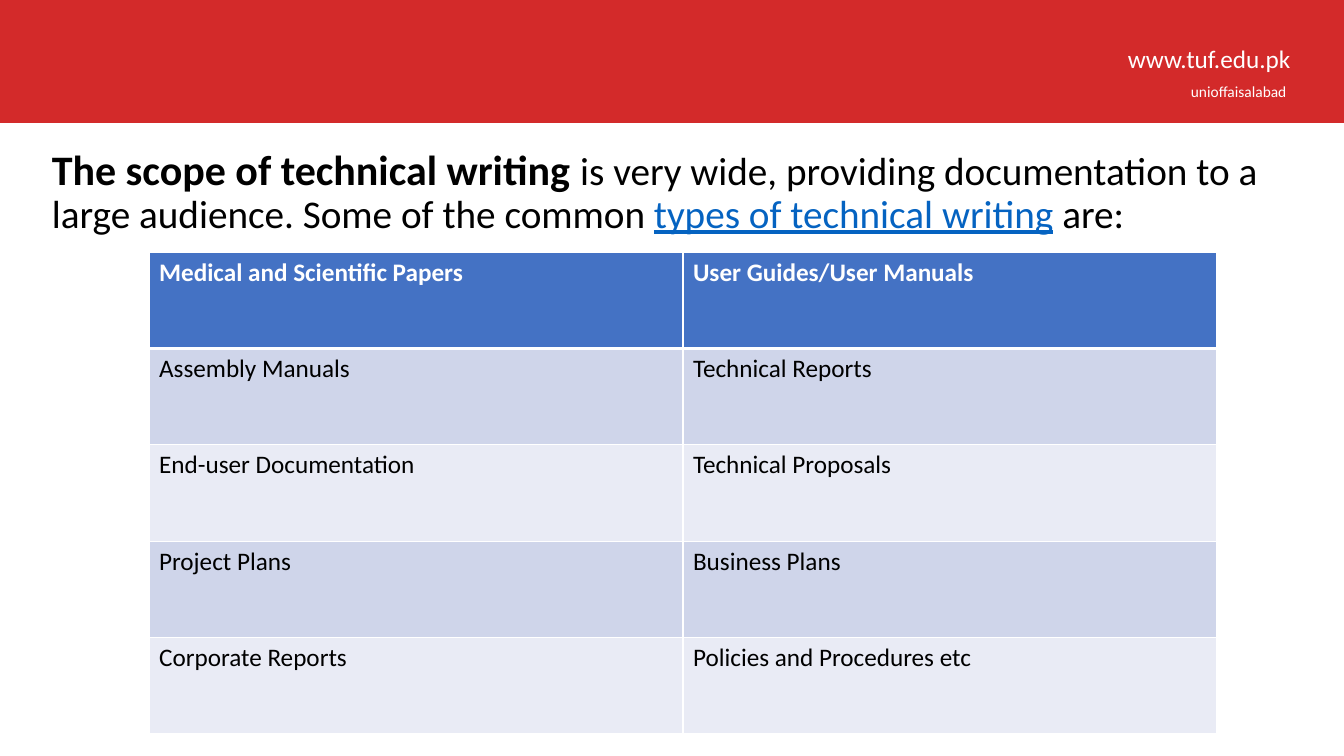
import pptx
import pptx.dml.color
import pptx.enum.shapes
import pptx.oxml
import pptx.oxml.ns
import pptx.util

PX_PER_INCH = 100.8
FONT = "Calibri"
WHITE, BLACK, RED, BLUE, LINK = "FFFFFF", "000000", "D32A2A", "4472C4", "0563C1"
BANDS = ("CFD5EA", "E9EBF5")
WRITING_TYPES = [
    ("Medical and Scientific Papers", "User Guides/User Manuals"),
    ("Assembly Manuals", "Technical Reports"),
    ("End-user Documentation", "Technical Proposals"),
    ("Project Plans", "Business Plans"),
    ("Corporate Reports", "Policies and Procedures etc"),
]


def px(length):
    return pptx.util.Inches(length / PX_PER_INCH)


def color(value):
    return pptx.dml.color.RGBColor.from_string(value)


def set_font(font, size, value, bold=False):
    font.name = FONT
    font.size = pptx.util.Pt(size)
    font.bold = bold
    font.color.rgb = color(value)


def add_text_box(page, left, top, width, height):
    """Add a wrapping text box and return its first paragraph."""
    box = page.shapes.add_textbox(px(left), px(top), px(width), px(height))
    box.text_frame.word_wrap = True
    return box.text_frame.paragraphs[0]


def add_banner(page, left, top, width, height):
    band = page.shapes.add_shape(
        pptx.enum.shapes.MSO_SHAPE.RECTANGLE, px(left), px(top), px(width), px(height))
    band.shadow.inherit = False
    band.fill.solid()
    band.fill.fore_color.rgb = color(RED)
    band.line.fill.background()
    right = left + width
    for text, size, inset, drop, tall in (
            ("unioffaisalabad", 11, 163, 77, 29), ("www.tuf.edu.pk", 18, 226, 38, 40)):
        para = add_text_box(page, right - inset, top + drop, inset, tall)
        para.text = text
        set_font(para.font, size, WHITE)


def add_intro(page, left, top, width, height):
    para = add_text_box(page, left, top, width, height)
    para.line_spacing = 0.9
    for text, size, value, bold, underline in (
            ("The scope of technical writing ", 30, BLACK, True, False),
            ("is very wide, providing documentation to a large audience. "
             "Some of the common ", 28, BLACK, False, False),
            ("types of technical writing", 28, LINK, False, True),
            (" are:", 28, BLACK, False, False)):
        span = para.add_run()
        span.text = text
        set_font(span.font, size, value, bold)
        span.font.underline = underline


def add_border(cell, side, points):
    line = pptx.oxml.parse_xml(
        f'<a:{side} {pptx.oxml.ns.nsdecls("a")} w="{pptx.util.Pt(points)}">'
        f'<a:solidFill><a:srgbClr val="{WHITE}"/></a:solidFill></a:{side}>')
    cell._tc.get_or_add_tcPr().append(line)


def add_types_table(page, left, top, width, height):
    rows, columns = len(WRITING_TYPES), len(WRITING_TYPES[0])
    table = page.shapes.add_table(
        rows, columns, px(left), px(top), px(width), px(height)).table
    for row_index, texts in enumerate(WRITING_TYPES):
        header = row_index == 0
        for column_index, text in enumerate(texts):
            cell = table.cell(row_index, column_index)
            cell.text = text
            set_font(cell.text_frame.paragraphs[0].font, 18,
                     WHITE if header else BLACK, header)
            thick_side = {0: "lnB", 1: "lnT"}.get(row_index)
            for side in ("lnL", "lnR", "lnT", "lnB"):
                add_border(cell, side, 3 if side == thick_side else 1)
            cell.fill.solid()
            cell.fill.fore_color.rgb = color(
                BLUE if header else BANDS[(row_index - 1) % len(BANDS)])


def main():
    deck = pptx.Presentation()
    deck.slide_width, deck.slide_height = px(1344), px(756)
    page = deck.slides.add_slide(deck.slide_layouts[6])
    add_intro(page, 42, 144, 1252, 100)
    add_banner(page, 0, 0, 1344, 123)
    add_types_table(page, 149, 252, 1068, 482)
    deck.save("out.pptx")


if __name__ == "__main__":
    main()
